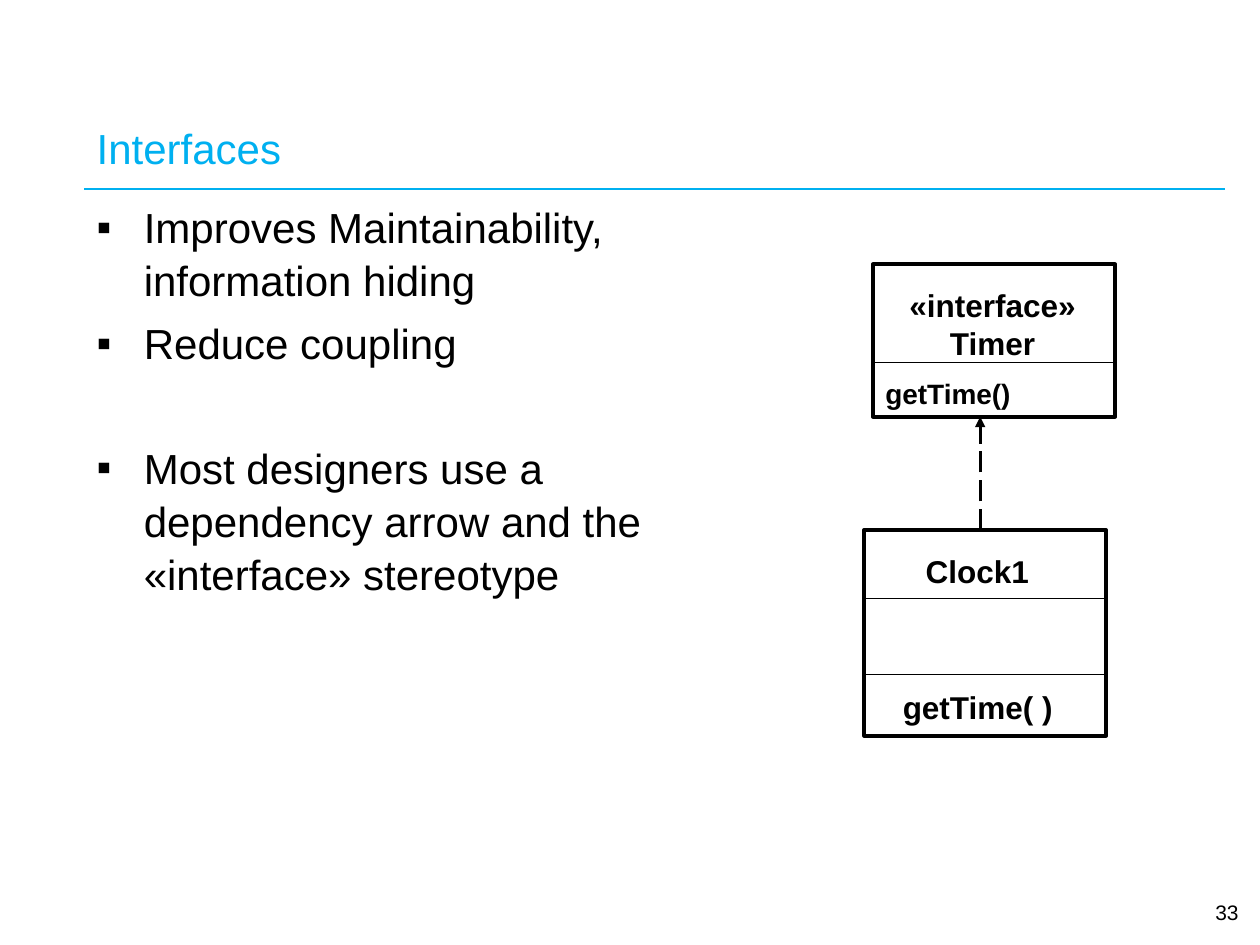
from pptx import Presentation
from pptx.dml.color import RGBColor
from pptx.enum.dml import MSO_LINE
from pptx.enum.shapes import MSO_CONNECTOR, MSO_SHAPE
from pptx.enum.text import MSO_ANCHOR, PP_ALIGN
from pptx.oxml.ns import qn
from pptx.util import Cm, Pt
from lxml import etree

LEFT, CENTER, RIGHT = PP_ALIGN.LEFT, PP_ALIGN.CENTER, PP_ALIGN.RIGHT
TOP, MIDDLE = MSO_ANCHOR.TOP, MSO_ANCHOR.MIDDLE
STRAIGHT, RECT, DASH = MSO_CONNECTOR.STRAIGHT, MSO_SHAPE.RECTANGLE, MSO_LINE.LONG_DASH
BLACK, BLUE = "000000", "00B0F0"
PAD = {"margin_left": Cm(0.25), "margin_right": Cm(0.25),
       "margin_top": Cm(0.13), "margin_bottom": Cm(0.13)}


def color(code):
    return RGBColor.from_string(code)


def apply(item, values):
    for name, value in values.items():
        setattr(item, name, value)


def style(par, size, code=BLACK, bold=False, align=LEFT):
    apply(par.font, {"name": "Arial", "size": Pt(size), "bold": bold})
    par.font.color.rgb = color(code)
    par.alignment = align


def add_text(slide, box, lines, size, bold=False, align=LEFT, anchor=TOP, wrap=False):
    frame = slide.shapes.add_textbox(*map(Cm, box)).text_frame
    apply(frame, {**PAD, "word_wrap": wrap, "vertical_anchor": anchor})
    frame.text = "\n".join(lines)
    for par in frame.paragraphs:
        style(par, size, bold=bold, align=align)
    return frame


def add_line(slide, start, end, width, code=BLACK):
    line = slide.shapes.add_connector(STRAIGHT, *map(Cm, (*start, *end)))
    line.line.width = Pt(width)
    line.line.color.rgb = color(code)
    etree.SubElement(line._element.spPr, qn("a:effectLst"))
    return line


def add_title(slide, box, text):
    x, y, w, h = box
    title = slide.shapes.title
    apply(title, dict(zip(("left", "top", "width", "height"), map(Cm, box))))
    frame = title.text_frame
    frame.text = text
    apply(frame, {**PAD, "vertical_anchor": MIDDLE, "word_wrap": True})
    style(frame.paragraphs[0], 24, BLUE)
    add_line(slide, (x, y + 1.47), (x + 22.99, y + 1.47), 1.5, BLUE)


def add_bullets(slide, box, items):
    """Place (text, space before in points) pairs as a square-bulleted list."""
    frame = add_text(slide, box, [text for text, gap in items], 24, wrap=True)
    frame.margin_top = 0
    for par, (text, gap) in zip(frame.paragraphs, items):
        props = par._p.get_or_add_pPr()
        props.set("marL", str(Cm(0.95)))
        props.set("indent", str(-Cm(0.95)))
        etree.SubElement(props, qn("a:buFont"), typeface="Arial")
        etree.SubElement(props, qn("a:buChar"), char="▪")
        apply(par, {"space_before": Pt(gap), "line_spacing": 1.05})
        style(par, 24)


def add_class(slide, box, rules, labels):
    """Draw a UML class; rules and labels are offsets from the box corner."""
    x, y, w, h = box
    frame = slide.shapes.add_shape(RECT, *map(Cm, box))
    frame.shadow.inherit = False
    frame.fill.background()
    frame.line.width = Pt(2.25)
    frame.line.color.rgb = color(BLACK)
    for dy in rules:
        add_line(slide, (x, y + dy), (x + w, y + dy), 0.75)
    for (dx, dy, wide, high), lines, size, align in labels:
        add_text(slide, (x + dx, y + dy, wide, high), lines, size, True, align)


def add_arrow(slide, start, end):
    line = add_line(slide, start, end, 1.5)
    line.line.dash_style = DASH
    etree.SubElement(line.line._get_or_add_ln(), qn("a:tailEnd"), type="triangle")


def add_diagram(slide, box):
    x, y, w, h = box
    wide, high, low = 4.88, 3.07, 5.36
    add_class(slide, (x + 0.18, y, wide, high), [1.98], [
        ((0.48, 0.31, 3.86, 1.78), ["«interface»", "Timer"], 18, CENTER),
        ((0, 2.13, 3.05, 0.94), ["getTime()"], 16, LEFT)])
    add_arrow(slide, (x + 2.34, y + low), (x + 2.34, y + high))
    add_class(slide, (x, y + low, wide, h - low), [1.37, 2.9], [
        ((0.99, 0.31, 2.59, 1.02), ["Clock1"], 18, LEFT),
        ((0.53, 3.05, 3.53, 1.02), ["getTime( )"], 18, LEFT)])


def main():
    deck = Presentation()
    deck.slide_width, deck.slide_height = Cm(25.4), Cm(19.05)
    slide = deck.slides.add_slide(deck.slide_layouts[5])
    add_title(slide, (1.7, 2.34, 23.06, 1.27), "Interfaces")
    add_bullets(slide, (1.7, 4.01, 13.34, 14.83), [
        ("Improves Maintainability, information hiding", 0),
        ("Reduce coupling", 6),
        ("Most designers use a dependency arrow and the «interface» stereotype", 41)])
    add_diagram(slide, (17.42, 5.33, 5.06, 9.5))
    add_text(slide, (23.7, 17.93, 1.52, 0.91), ["33"], 12,
             align=RIGHT, anchor=MIDDLE, wrap=True)
    deck.save("out.pptx")


if __name__ == "__main__":
    main()
